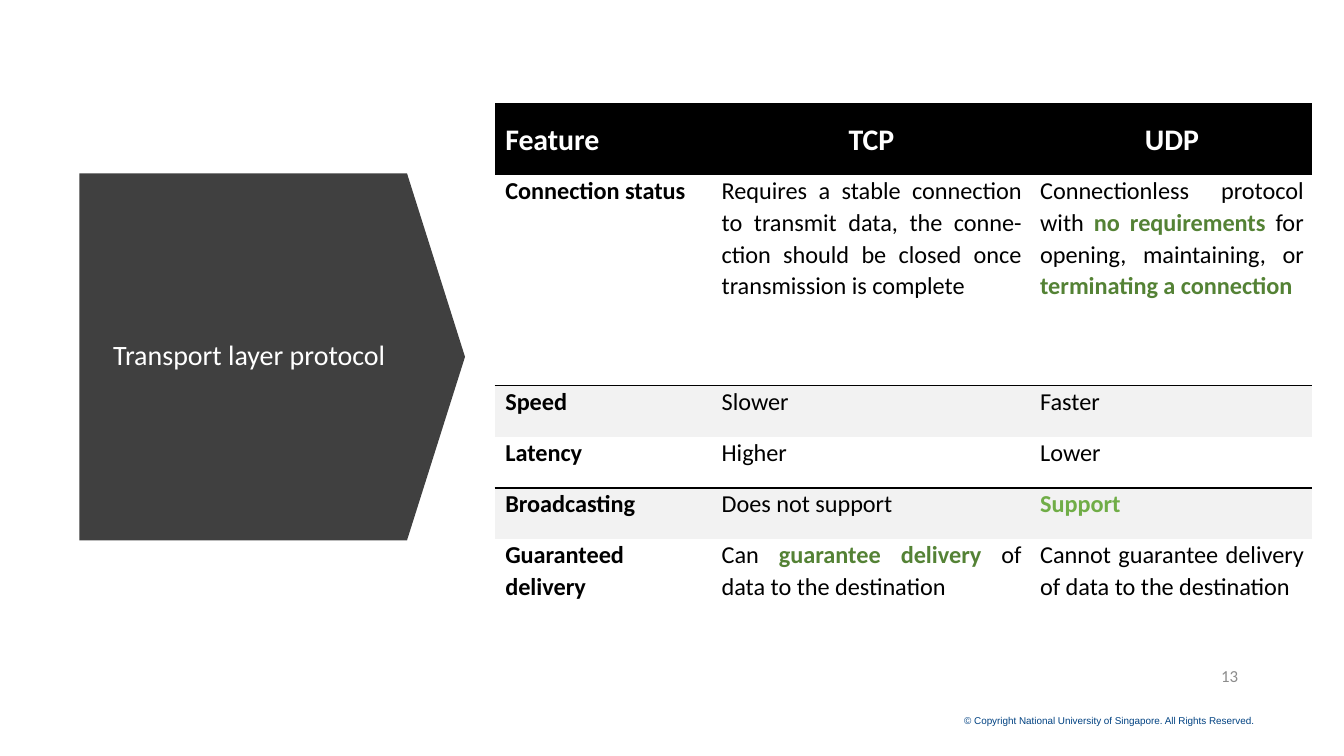
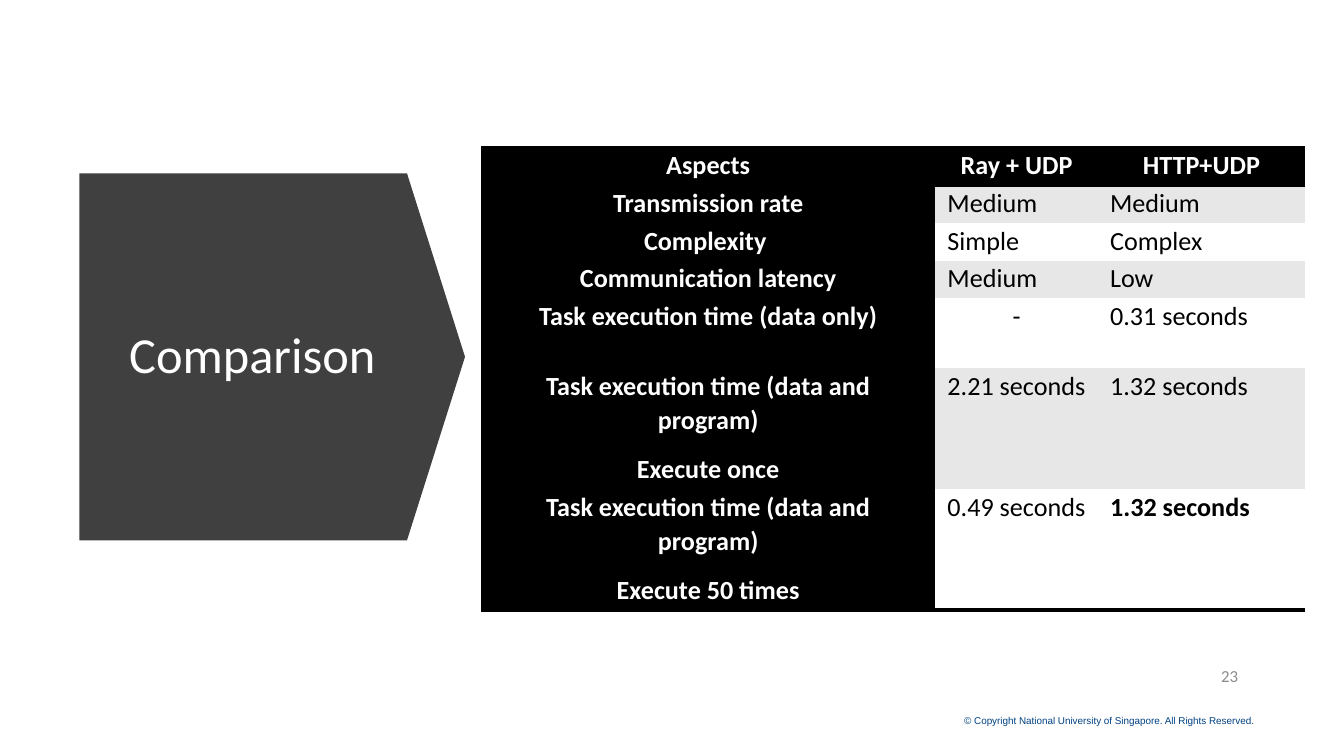
from dataclasses import dataclass

from lxml import etree
from pptx import Presentation
from pptx.dml.color import RGBColor
from pptx.enum.shapes import MSO_SHAPE as Shape
from pptx.enum.text import MSO_ANCHOR as Anchor, PP_ALIGN as Align
from pptx.oxml.ns import qn
from pptx.util import Inches, Pt


@dataclass(frozen=True)
class Theme:
    font: str = "Calibri"
    footer_font: str = "Arial"
    black: str = "000000"
    white: str = "FFFFFF"
    arrow: str = "404040"
    copyright: str = "004282"
    number: str = "8C8C8C"
    dark_green: str = "548235"
    light_green: str = "70AD47"
    light_band: str = "F2F2F2"
    grey_band: str = "E7E7E7"
    copyright_size: float = 5.3
    number_size: float = 9
    feature_size: float = 13
    heading_size: float = 16
    aspect_size: float = 14
    table_line: float = 1.07
    table_after: float = 8


THEME = Theme()
NO_TABLE_STYLE = "{2D5ABB26-0587-4C30-8999-92F81FD0307C}"


@dataclass
class CellStyle:
    size: float
    color: str = THEME.black
    bold: bool = False
    align: Align = Align.JUSTIFY
    fill: str | None = None
    anchor: Anchor = Anchor.TOP
    margins: tuple = (0.09, 0, 0.09, 0)


class SlideBuilder:
    def __init__(self, deck, theme):
        self.deck = deck
        self.theme = theme
        self.page = None

    def new_page(self, title, title_size, title_box, number):
        """Start a slide with its title arrow and footer."""
        theme = self.theme
        self.page = self.deck.slides.add_slide(self.deck.slide_layouts[6])
        self.text("© Copyright National University of Singapore. All Rights Reserved. ",
                  (7.07, 5.27, 2.38, 0.19), theme.copyright_size, theme.copyright,
                  Align.RIGHT, font=theme.footer_font, anchor=Anchor.TOP, wrap=False)
        self.arrow(0.66, 1.22, 2.73, 2.87)
        self.text(title, title_box, title_size, theme.white, Align.CENTER, line=0.9)
        self.text(str(number), (7.06, 4.88, 2.25, 0.3), theme.number_size,
                  theme.number, Align.RIGHT)

    def arrow(self, left, top, width, height):
        shape = self.page.shapes.add_shape(
            Shape.DOWN_ARROW, Inches(left), Inches(top), Inches(width), Inches(height))
        shape.adjustments[0] = 1
        shape.adjustments[1] = 0.158
        shape.rotation = 270
        shape.shadow.inherit = False
        shape.fill.solid()
        shape.fill.fore_color.rgb = RGBColor.from_string(self.theme.arrow)
        shape.line.fill.background()

    def span(self, para, text, size, color, bold=False, font=None):
        span = para.add_run()
        span.text = text
        span.font.name = font or self.theme.font
        span.font.size = Pt(size)
        span.font.bold = bold
        span.font.color.rgb = RGBColor.from_string(color)

    def text(self, text, place, size, color, align, font=None,
             anchor=Anchor.MIDDLE, wrap=True, line=1.0):
        box = self.page.shapes.add_textbox(*map(Inches, place))
        frame = box.text_frame
        frame.word_wrap = wrap
        frame.vertical_anchor = anchor
        para = frame.paragraphs[0]
        para.alignment = align
        para.line_spacing = line
        self.span(para, text, size, color, font=font)

    def table(self, left, top, widths, heights, rows, style_for, rules, rule_width):
        """Draw a table; rules holds the row boundaries that carry a line."""
        frame = self.page.shapes.add_table(
            len(rows), len(widths), Inches(left), Inches(top),
            Inches(sum(widths)), Inches(sum(heights)))
        table = frame.table
        table.first_row = table.horz_banding = False
        for style_id in frame.element.iter(qn("a:tableStyleId")):
            style_id.text = NO_TABLE_STYLE
        for column, width in zip(table.columns, widths):
            column.width = Inches(width)
        for row, height in zip(table.rows, heights):
            row.height = Inches(height)
        for r, row in enumerate(rows):
            for c, content in enumerate(row):
                cell = table.cell(r, c)
                for tag, boundary in (("a:lnT", r), ("a:lnB", r + 1)):
                    self.border(cell, tag, rule_width if boundary in rules else 0)
                self.fill_cell(cell, content, style_for(r, c))

    def border(self, cell, tag, width):
        """Set one cell edge; a width of zero leaves the edge without a line."""
        properties = cell._tc.get_or_add_tcPr()
        line = etree.SubElement(properties, qn(tag), w=str(int(Pt(width))))
        if width:
            fill = etree.SubElement(line, qn("a:solidFill"))
            etree.SubElement(fill, qn("a:srgbClr"), val=self.theme.black)
        else:
            etree.SubElement(line, qn("a:noFill"))

    def fill_cell(self, cell, content, style):
        """Content is a string, one paragraph a line, or a list of (text, colour)."""
        if style.fill:
            cell.fill.solid()
            cell.fill.fore_color.rgb = RGBColor.from_string(style.fill)
        else:
            cell.fill.background()
        cell.vertical_anchor = style.anchor
        (cell.margin_left, cell.margin_top,
         cell.margin_right, cell.margin_bottom) = map(Inches, style.margins)
        if isinstance(content, str):
            paragraphs = [[(line, None)] for line in content.split("\n")]
        else:
            paragraphs = [content]
        frame = cell.text_frame
        for i, spans in enumerate(paragraphs):
            para = frame.add_paragraph() if i else frame.paragraphs[0]
            para.alignment = style.align
            para.line_spacing = self.theme.table_line
            para.space_after = Pt(self.theme.table_after)
            for text, accent in spans:
                self.span(para, text, style.size, accent or style.color,
                          style.bold or bool(accent))


def feature_style(row, column):
    if row == 0:
        return CellStyle(THEME.heading_size, THEME.white, True,
                         Align.CENTER if column else Align.JUSTIFY,
                         THEME.black, Anchor.MIDDLE, (0.08, 0.11, 0.06, 0.11))
    return CellStyle(THEME.feature_size, bold=column == 0,
                     fill=THEME.light_band if row in (2, 4) else None,
                     margins=(0.08, 0, 0.06, 0.11))


def aspect_style(row, column):
    if row == 0 or column == 0:
        return CellStyle(THEME.aspect_size, THEME.white, True, Align.CENTER, THEME.black)
    return CellStyle(THEME.aspect_size,
                     align=Align.CENTER if (row, column) == (4, 1) else Align.JUSTIFY,
                     fill=THEME.grey_band if row % 2 else THEME.white)


def main():
    # Widescreen page, 16 to 9
    deck = Presentation()
    deck.slide_width, deck.slide_height = Inches(10), Inches(10 * 9 / 16)
    builder = SlideBuilder(deck, THEME)
    green = THEME.dark_green

    # Transport layer protocol
    features = [
        ["Feature", "TCP", "UDP"],
        ["Connection status",
         "Requires a stable connection to transmit data, the conne-ction "
         "should be closed once transmission is complete",
         [("Connectionless protocol with ", None), ("no requirements ", green),
          ("for opening, maintaining, or ", None), ("terminating a connection", green)]],
        ["Speed", "Slower", "Faster"],
        ["Latency", "Higher", "Lower"],
        ["Broadcasting", "Does not support", [("Support", THEME.light_green)]],
        ["Guaranteed delivery",
         [("Can ", None), ("guarantee delivery ", green),
          ("of data to the destination", None)],
         "Cannot guarantee delivery of data to the destination"],
    ]
    builder.new_page("Transport layer protocol", 15, (0.52, 1.61, 2.67, 2.09), 13)
    builder.table(3.68, 0.77, [1.61, 2.37, 2.1], [0.53, 1.57, 0.38, 0.38, 0.38, 0.85],
                  features, feature_style, rules={2, 4}, rule_width=1)

    # Comparison
    program_task = "Task execution time (data and program)\n"
    aspects = [
        ["Aspects", "Ray + UDP", "HTTP+UDP"],
        ["Transmission rate", "Medium", "Medium"],
        ["Complexity ", "Simple", "Complex"],
        ["Communication latency", "Medium", "Low"],
        ["Task execution time (data only)", "-", "0.31 seconds"],
        [program_task + "Execute once", "2.21 seconds", "1.32 seconds"],
        [program_task + "Execute 50 times", "0.49 seconds",
         [("1.32 seconds", THEME.black)]],
    ]
    builder.new_page("Comparison ", 27, (0.84, 1.61, 2.16, 2.09), 23)
    builder.table(3.58, 1.1, [3.38, 1.21, 1.54], [0.28] * 4 + [0.52, 0.9, 0.9],
                  aspects, aspect_style, rules={0, 1, 7}, rule_width=2)

    deck.save("out.pptx")


if __name__ == "__main__":
    main()
